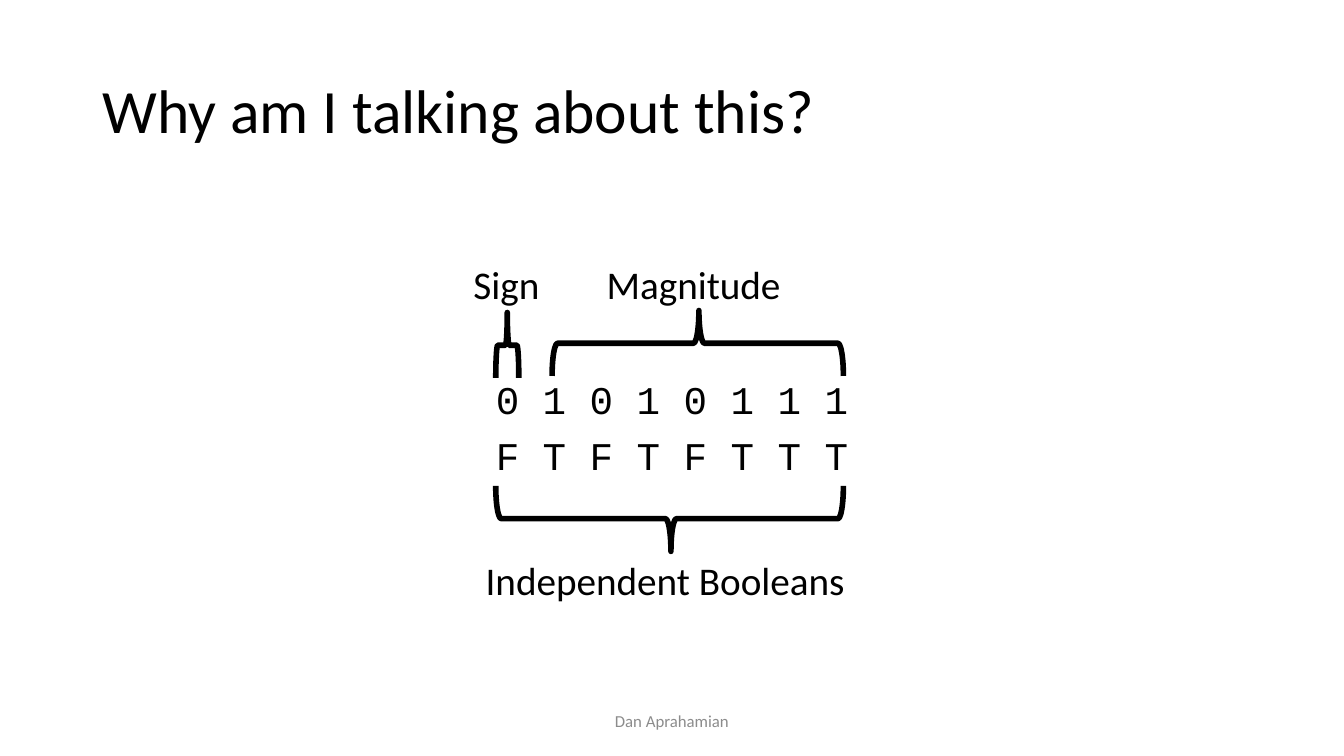
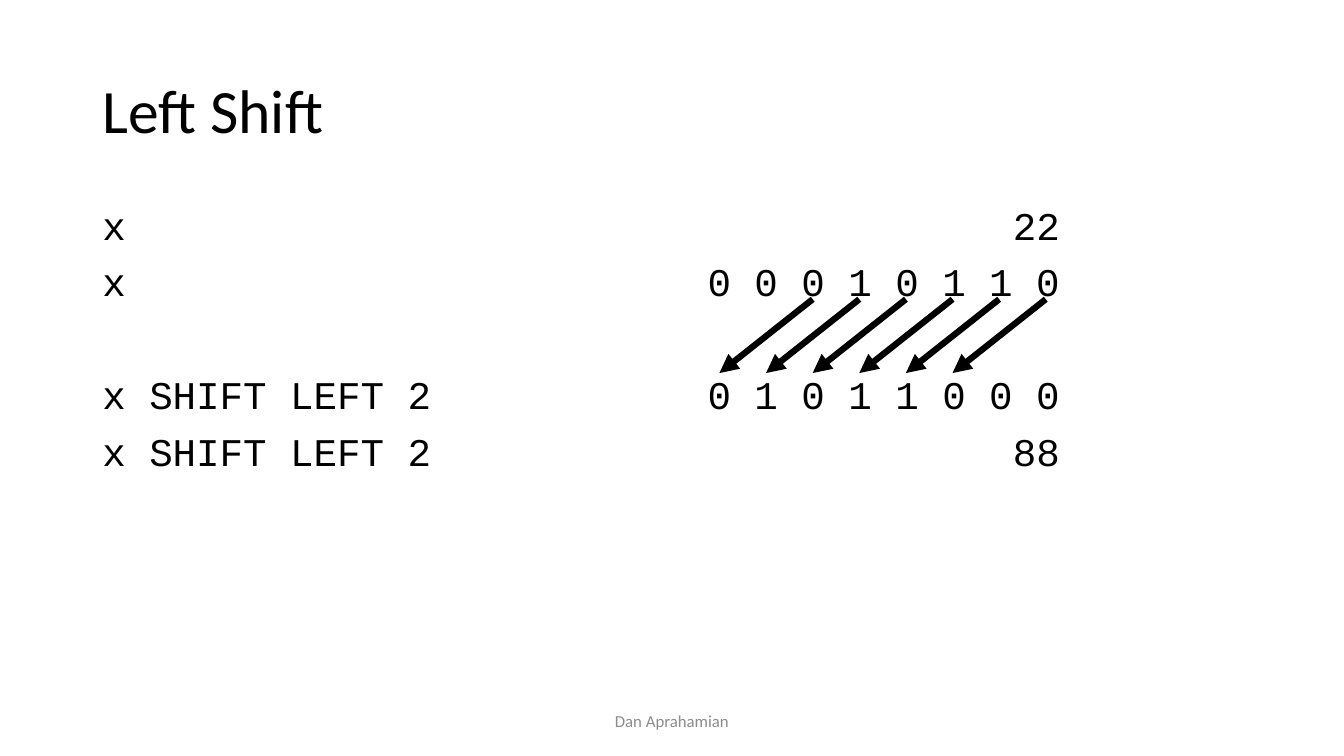
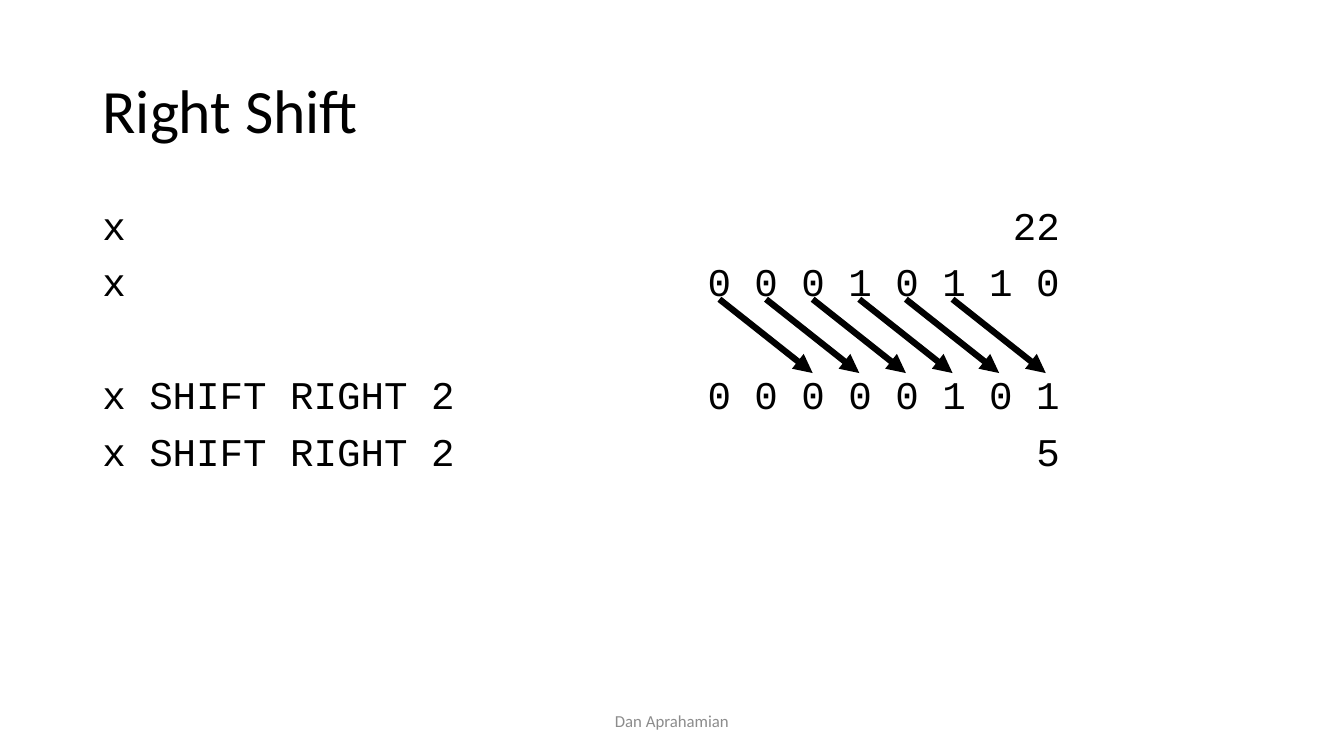
from lxml import etree
from pptx import Presentation
from pptx.dml.color import RGBColor
from pptx.enum.shapes import MSO_CONNECTOR, MSO_SHAPE
from pptx.enum.text import MSO_ANCHOR as ANCHOR, PP_ALIGN as ALIGN
from pptx.oxml.ns import qn
from pptx.util import Cm, Pt

COLORS = {"ink": "000000", "footer": "8C8C8C"}
BODY, CODE = "Calibri", "Courier New"
INK = RGBColor.from_string(COLORS["ink"])

prs = Presentation()
prs.slide_width, prs.slide_height = Cm(33.87), Cm(19.05)


def write(shape, box, lines, size, font=BODY, color="ink", align=ALIGN.LEFT, anchor=ANCHOR.TOP):
    shape.left, shape.top, shape.width, shape.height = [Cm(v) for v in box]
    tf = shape.text_frame
    tf.word_wrap = True
    tf.vertical_anchor = anchor
    for i, line in enumerate(lines):
        p = tf.add_paragraph() if i else tf.paragraphs[0]
        p.alignment = align
        r = p.add_run()
        r.text = line
        r.font.size = Pt(size)
        r.font.name = font
        r.font.color.rgb = RGBColor.from_string(COLORS[color])
    return tf.paragraphs


def new_slide(title):
    s = prs.slides.add_slide(prs.slide_layouts[5])
    heading = write(s.shapes.title, (2.33, 1.01, 29.21, 3.68), [title], 44, anchor=ANCHOR.MIDDLE)
    heading[0].line_spacing = 0.9
    write(s.shapes.add_textbox(0, 0, 0, 0), (11.22, 17.66, 11.43, 1.01), ["Dan Aprahamian"], 12,
          color="footer", align=ALIGN.CENTER, anchor=ANCHOR.MIDDLE)
    return s


s = new_slide("Why am I talking about this?")
bits = write(s.shapes.add_textbox(0, 0, 0, 0), (2.33, 9.47, 29.21, 3),
             ["0 1 0 1 0 1 1 1", "F T F T F T T T"], 28, CODE, align=ALIGN.CENTER)
for p in bits:
    p.line_spacing = 0.9
    p.space_before = Pt(10)

for label, left, top, width in [
    ("Sign", 11.68, 6.43, 2.24),
    ("Magnitude", 15.04, 6.43, 5.11),
    ("Independent Booleans", 11.99, 13.89, 10.24),
]:
    write(s.shapes.add_textbox(0, 0, 0, 0), (left, top, width, 1.45), [label], 28)

for left, top, span, tip, turn, flip in [
    (16.76, 4.98, 7.34, 0.504, 90, True),
    (11.96, 8.41, 0.58, 0.5, 90, True),
    (16.05, 8.69, 8.76, 0.504, 270, False),
]:
    brace = s.shapes.add_shape(MSO_SHAPE.LEFT_BRACE, Cm(left), Cm(top), Cm(1.65), Cm(span))
    brace.adjustments[0], brace.adjustments[1] = 0.083, tip
    brace.rotation = turn
    if flip:
        brace._element.spPr.find(qn("a:xfrm")).set("flipV", "1")
    brace.shadow.inherit = False
    brace.fill.background()
    brace.line.color.rgb = INK
    brace.line.width = Pt(4)

BIT_LEFT, BIT_STEP, SHIFT = 18.13, 1.175, 2
for direction, shifted, value in [("Left", "0 1 0 1 1 0 0 0", "88"), ("Right", "0 0 0 0 0 1 0 1", "5")]:
    s = new_slide(f"{direction} Shift")
    name = f"x SHIFT {direction.upper()} {SHIFT}"
    rows = [("x", "22"), ("x", "0 0 0 1 0 1 1 0"), (name, shifted), (name, value)]
    paragraphs = write(s.shapes.add_textbox(0, 0, 0, 0), (2.33, 5.08, 29.21, 12.09),
                       ["\t".join(row) for row in rows], 28, CODE)
    for p, gap in zip(paragraphs, (10, 10, 50.5, 10)):
        p.line_spacing = 0.9
        p.space_before = Pt(gap)
        tabs = etree.SubElement(p._p.get_or_add_pPr(), qn("a:tabLst"))
        etree.SubElement(tabs, qn("a:tab"), pos=str(Cm(24.13)), algn="r")
    for i in range(8 - SHIFT):
        low, high = [Cm(BIT_LEFT + BIT_STEP * n) for n in (i, i + SHIFT)]
        start, end = (high, low) if direction == "Left" else (low, high)
        arrow = s.shapes.add_connector(MSO_CONNECTOR.STRAIGHT, start, Cm(7.54), end, Cm(9.4))
        arrow.line.color.rgb = INK
        arrow.line.width = Pt(4.5)
        etree.SubElement(arrow.line._get_or_add_ln(), qn("a:tailEnd"), type="triangle")
        etree.SubElement(arrow._element.spPr, qn("a:effectLst"))

prs.save("out.pptx")
